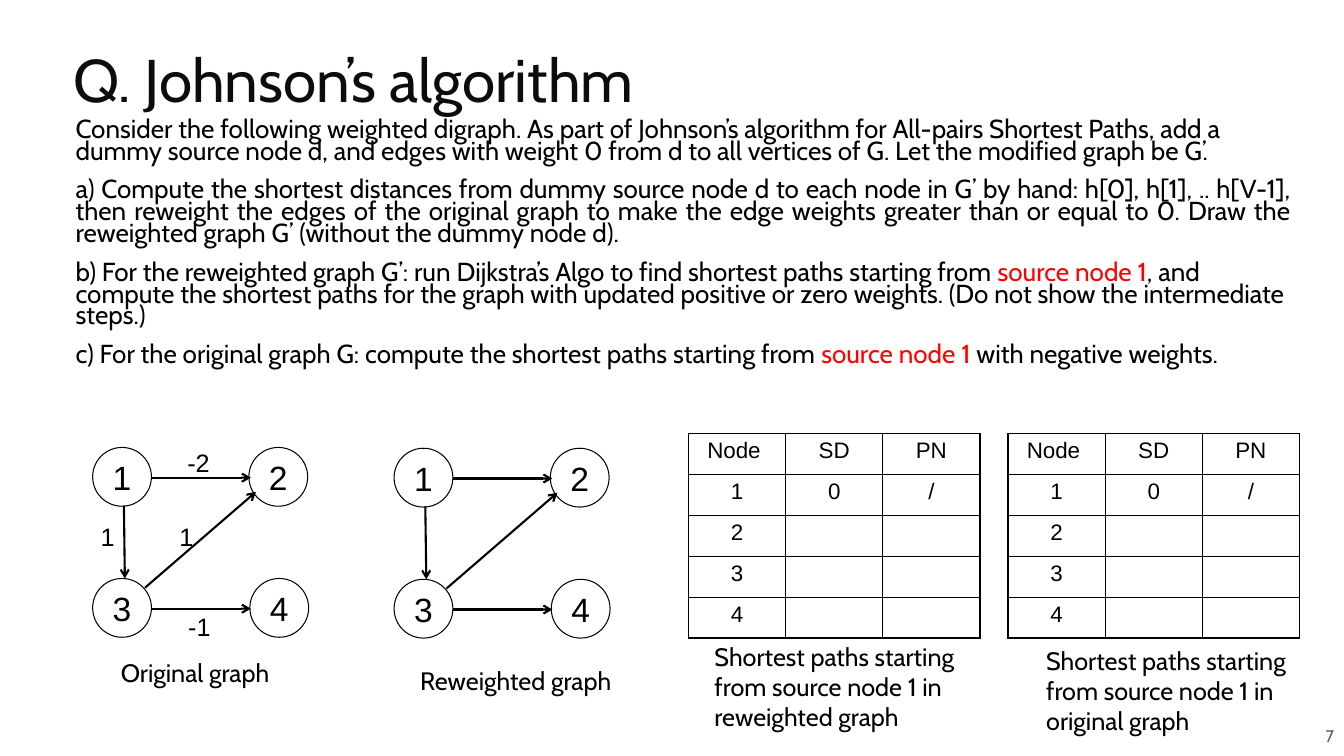
from dataclasses import dataclass

from lxml import etree
from pptx import Presentation
from pptx.dml.color import RGBColor
from pptx.enum.shapes import MSO_CONNECTOR, MSO_SHAPE
from pptx.enum.text import MSO_ANCHOR, PP_ALIGN
from pptx.oxml.ns import qn
from pptx.util import Pt

STRAIGHT = MSO_CONNECTOR.STRAIGHT
OVAL = MSO_SHAPE.OVAL
MIDDLE = MSO_ANCHOR.MIDDLE
TOP = MSO_ANCHOR.TOP
LEFT, CENTER, RIGHT, JUSTIFY = PP_ALIGN.LEFT, PP_ALIGN.CENTER, PP_ALIGN.RIGHT, PP_ALIGN.JUSTIFY


@dataclass(frozen=True)
class Theme:
    heading_font: str = "Cabin"
    plain_font: str = "Arial"
    black: RGBColor = RGBColor(0, 0, 0)
    white: RGBColor = RGBColor(255, 255, 255)
    title: RGBColor = RGBColor(0x0C, 0x0C, 0x0C)
    accent: RGBColor = RGBColor(255, 0, 0)
    muted: RGBColor = RGBColor(0x59, 0x59, 0x59)
    title_size: float = 43
    body_size: float = 18.6
    label_size: float = 18
    node_size: float = 24
    cell_size: float = 16
    number_size: float = 12


theme = Theme()


def write(paragraph, text, font=theme.heading_font, size=theme.label_size,
          color=theme.black, align=LEFT, spacing=None, before=None, accent=None):
    paragraph.alignment = align
    if spacing:
        paragraph.line_spacing = spacing
    if before is not None:
        paragraph.space_before = Pt(before)
    parts = text.partition(accent) if accent else (text,)
    for part in filter(None, parts):
        run = paragraph.add_run()
        run.text = part
        run.font.name = font
        run.font.size = Pt(size)
        run.font.color.rgb = theme.accent if part == accent else color


def add_text_frame(slide, left, top, width, height, anchor=TOP):
    frame = slide.shapes.add_textbox(Pt(left), Pt(top), Pt(width), Pt(height)).text_frame
    frame.word_wrap = True
    frame.vertical_anchor = anchor
    return frame


presentation = Presentation()
presentation.slide_width = Pt(960)
presentation.slide_height = Pt(540)
slide = presentation.slides.add_slide(presentation.slide_layouts[6])

number_frame = add_text_frame(slide, 622.8, 511.2, 337.2, 28.8, MIDDLE)
write(number_frame.paragraphs[0], "7", size=theme.number_size, color=theme.muted, align=RIGHT)

title_frame = add_text_frame(slide, 45.4, 20.9, 880.6, 80, MIDDLE)
write(title_frame.paragraphs[0], "Q. Johnson’s algorithm", size=theme.title_size,
      color=theme.title, spacing=0.8)

questions = [
    ("Consider the following weighted digraph. As part of Johnson’s algorithm for All-pairs "
     "Shortest Paths, add a dummy source node d, and edges with weight 0 from d to all vertices "
     "of G. Let the modified graph be G’.", LEFT),
    ("a) Compute the shortest distances from dummy source node d to each node in G’ by hand: "
     "h[0], h[1], .. h[V-1], then reweight the edges of the original graph to make the edge "
     "weights greater than or equal to 0. Draw the reweighted graph G’ (without the dummy "
     "node d).", JUSTIFY),
    ("b) For the reweighted graph G’: run Dijkstra’s Algo to find shortest paths starting from "
     "source node 1, and compute the shortest paths for the graph with updated positive or zero "
     "weights. (Do not show the intermediate steps.)", LEFT),
    ("c) For the original graph G: compute the shortest paths starting from source node 1 with "
     "negative weights.", LEFT),
]
body_frame = add_text_frame(slide, 45.4, 82.8, 880.6, 234.7)
body_frame.margin_left = body_frame.margin_right = Pt(3.6)
for index, (question, align) in enumerate(questions):
    paragraph = body_frame.add_paragraph() if index else body_frame.paragraphs[0]
    properties = paragraph._p.get_or_add_pPr()
    properties.set("marL", str(Pt(5)))
    properties.set("indent", "0")
    write(paragraph, question, size=theme.body_size, align=align, spacing=0.7,
          before=12 if index else 0, accent="source node 1")

table_rows = [("Node ", "SD", "PN"), ("1", "0", "/"), ("2", "", ""), ("3", "", ""), ("4", "", "")]
for table_left in (491.8, 720):
    table = slide.shapes.add_table(5, 3, Pt(table_left), Pt(309.6), Pt(208.2), Pt(146.25)).table
    table.first_row = False
    table.horz_banding = False
    for column in table.columns:
        column.width = Pt(69.4)
    for row, values in zip(table.rows, table_rows):
        row.height = Pt(29.25)
        for cell, value in zip(row.cells, values):
            write(cell.text_frame.paragraphs[0], value, font=theme.plain_font,
                  size=theme.cell_size, align=CENTER)
            cell_properties = cell._tc.get_or_add_tcPr()
            for side in ("a:lnL", "a:lnR", "a:lnT", "a:lnB"):
                border = etree.SubElement(cell_properties, qn(side), w=str(Pt(1)))
                border_fill = etree.SubElement(border, qn("a:solidFill"))
                etree.SubElement(border_fill, qn("a:srgbClr"), val=str(theme.black))
            cell.fill.background()

node_diameter = 42
nodes = [("1", 0, 0), ("2", 111.6, 0), ("3", 0, 93.6), ("4", 112.3, 93.6)]
edges = [(42, 21.6, 113, 21.6), (22.3, 41.5, 23, 93.6),
         (37.4, 100.2, 116.6, 31.8), (42, 115.2, 113, 115.2)]
for graph_left, graph_top in ((66.2, 319.6), (281.5, 320.2)):
    for name, x, y in nodes:
        node = slide.shapes.add_shape(OVAL, Pt(graph_left + x), Pt(graph_top + y),
                                      Pt(node_diameter), Pt(node_diameter))
        node.shadow.inherit = False
        node.fill.solid()
        node.fill.fore_color.rgb = theme.white
        node.line.color.rgb = theme.black
        node.line.width = Pt(0.75)
        node.text_frame.word_wrap = False
        node.text_frame.vertical_anchor = MIDDLE
        write(node.text_frame.paragraphs[0], name, font=theme.plain_font,
              size=theme.node_size, align=CENTER)
    for x1, y1, x2, y2 in edges:
        edge = slide.shapes.add_connector(STRAIGHT, Pt(graph_left + x1), Pt(graph_top + y1),
                                          Pt(graph_left + x2), Pt(graph_top + y2))
        edge.line.color.rgb = theme.black
        edge.line.width = Pt(1.5)
        etree.SubElement(edge.line._get_or_add_ln(), qn("a:tailEnd"), type="arrow")
        etree.SubElement(edge._element.spPr, qn("a:effectLst"))

labels = [
    ("-2", 126.7, 316.1, 40.3, 28.8, theme.plain_font),
    ("-1", 127.4, 433.4, 31.7, 28.8, theme.plain_font),
    ("1", 121, 368.6, 31.7, 28.8, theme.plain_font),
    ("1", 64.8, 368.6, 31.7, 28.8, theme.plain_font),
    ("Original graph", 79.2, 465.8, 133.9, 28.8, theme.heading_font),
    ("Reweighted graph", 293, 471.6, 164.2, 28.8, theme.heading_font),
    ("Shortest paths starting from source node 1 in reweighted graph",
     503.3, 454.3, 201.6, 72.7, theme.heading_font),
    ("Shortest paths starting from source node 1 in original graph",
     740.2, 457.2, 201.6, 72.7, theme.heading_font),
]
for text, left, top, width, height, font in labels:
    label_frame = add_text_frame(slide, left, top, width, height)
    write(label_frame.paragraphs[0], text, font=font)

presentation.save("out.pptx")
